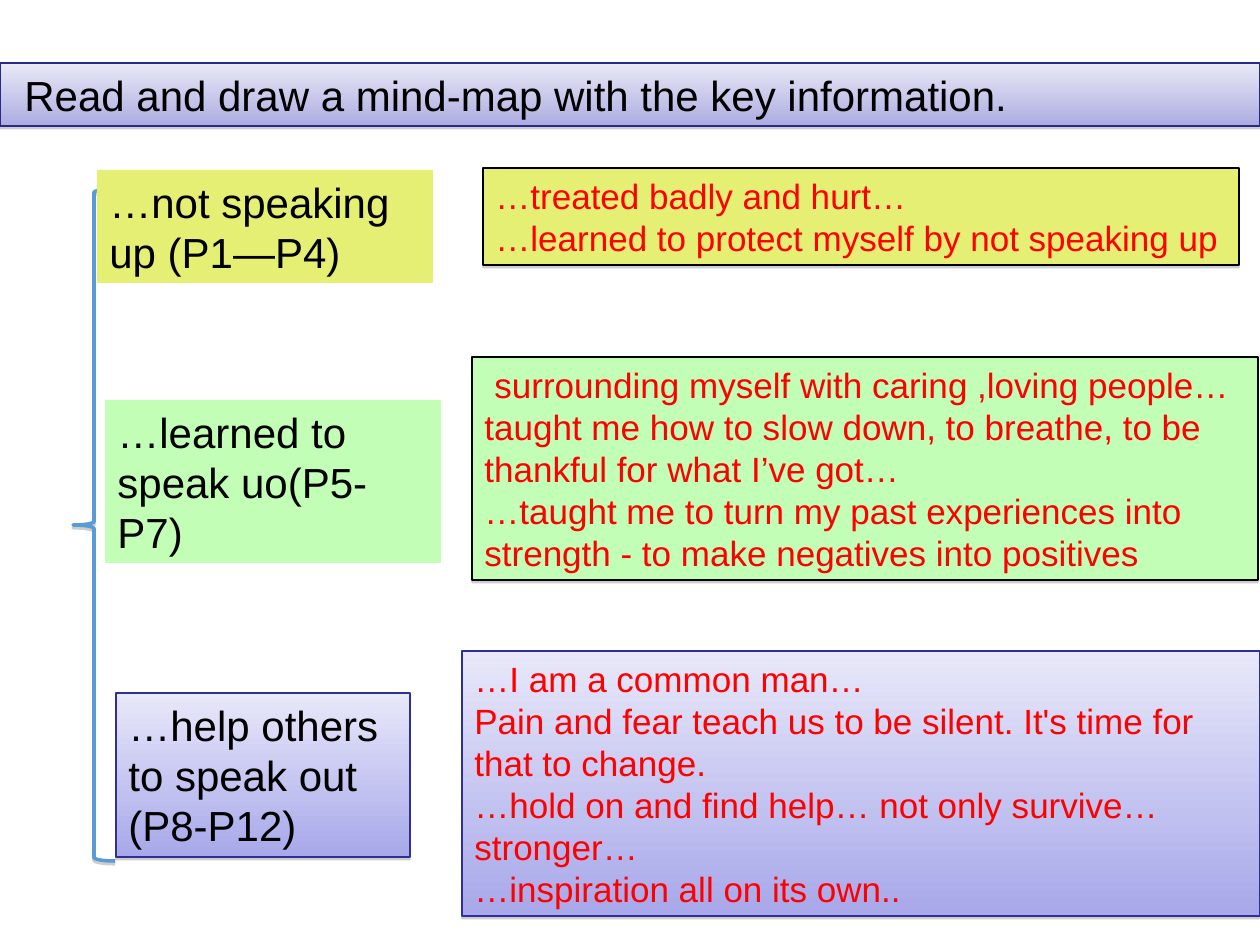
from lxml import etree
from pptx import Presentation
from pptx import util as u
from pptx.dml.color import RGBColor
from pptx.enum import shapes, text
from pptx.oxml import ns

PX = 914400 / 126
BLACK = RGBColor(0x00, 0x00, 0x00)
RED = RGBColor(0xFF, 0x00, 0x00)
YELLOW = RGBColor(0xE4, 0xEF, 0x74)
GREEN = RGBColor(0xC2, 0xFE, 0xB6)
BLUE = RGBColor(0x5B, 0x9B, 0xD5)
NAVY = RGBColor(0x29, 0x29, 0x89)
INDIGO = RGBColor(0x2F, 0x2F, 0x98)
PALE = (RGBColor(0xE9, 0xE9, 0xF7), RGBColor(0xAC, 0xAC, 0xE1))
LILAC = (RGBColor(0xE8, 0xE8, 0xFA), RGBColor(0xA8, 0xA8, 0xEA))


def px(n):
    """Turn pixels into EMU."""
    return u.Emu(round(n * PX))


def add_shadow(s):
    """Give a shape a thin grey shadow just below it."""
    effects = s._element.spPr.find(ns.qn("a:effectLst"))
    shadow = etree.SubElement(effects, ns.qn("a:outerShdw"), blurRad="0",
                              dist="20000", dir="5400000", rotWithShape="0")
    color = etree.SubElement(shadow, ns.qn("a:srgbClr"), val="808080")
    etree.SubElement(color, ns.qn("a:alpha"), val="38000")


def add_preset(slide, kind, box, line, width=0.75):
    """Add a preset shape, outlined and shadowed if it has a line colour."""
    s = slide.shapes.add_shape(kind, *map(px, box))
    s.shadow.inherit = False
    if line is None:
        s.line.fill.background()
    else:
        s.line.color.rgb = line
        s.line.width = u.Pt(width)
        add_shadow(s)
    return s


def set_fill(s, fill):
    """Fill a shape with one colour or with a top-to-bottom pair."""
    if isinstance(fill, RGBColor):
        s.fill.solid()
        s.fill.fore_color.rgb = fill
        return
    s.fill.gradient()
    s.fill.gradient_angle = 270
    for stop, color in zip(s.fill.gradient_stops, fill):
        stop.color.rgb = color


def add_box(slide, box, lines, fill, line=None, size=24, color=BLACK, indent=0):
    """Add a filled rectangle of left-aligned paragraphs."""
    s = add_preset(slide, shapes.MSO_SHAPE.RECTANGLE, box, line)
    set_fill(s, fill)
    tf = s.text_frame
    tf.word_wrap = True
    tf.vertical_anchor = text.MSO_ANCHOR.TOP
    tf.text = "\n".join(lines)
    for p in tf.paragraphs:
        p.alignment = text.PP_ALIGN.LEFT
        p.font.name = "Arial"
        p.font.size = u.Pt(size)
        p.font.color.rgb = color
    if indent:
        tf.paragraphs[0]._p.get_or_add_pPr().set("indent", str(px(indent)))


def add_details(slide, box, lines, fill, line, indent=0):
    """Add a box of red key information."""
    add_box(slide, box, lines, fill, line, 20, RED, indent)


def add_brace(slide, box):
    """Add the open brace that joins the stages."""
    s = add_preset(slide, shapes.MSO_SHAPE.LEFT_BRACE, box, BLUE, 2)
    s.fill.background()


def main():
    """Build the mind-map slide."""
    prs = Presentation()
    prs.slide_width, prs.slide_height = px(1260), px(945)
    slide = prs.slides.add_slide(prs.slide_layouts[6])

    add_box(slide, (0, 63, 1260, 63),
            ["Read and draw a mind-map with the key information."],
            PALE, NAVY, indent=12)
    add_brace(slide, (73, 189, 42, 672))

    add_box(slide, (97, 170, 336, 113), ["…not speaking up (P1—P4)"], YELLOW)
    add_box(slide, (105, 400, 336, 163), ["…learned to speak uo(P5-P7)"], GREEN)
    add_details(slide, (483, 168, 756, 97), [
        "…treated badly and hurt…",
        "…learned to protect myself by not speaking up",
    ], YELLOW, BLACK)
    add_details(slide, (462, 651, 798, 265), [
        "…I am a common man…",
        "Pain and fear teach us to be silent. It's time for that to change.",
        "…hold on and find help… not only survive…stronger…",
        "…inspiration all on its own..",
    ], LILAC, INDIGO)
    add_box(slide, (116, 693, 294, 164),
            ["…help others to speak out (P8-P12)"], LILAC, INDIGO)
    add_details(slide, (472, 357, 786, 223), [
        "surrounding myself with caring ,loving people…",
        "taught me how to slow down, to breathe, to be thankful for what I’ve got…",
        "…taught me to turn my past experiences into strength"
        " - to make negatives into positives",
    ], GREEN, BLACK, indent=10)

    prs.save("out.pptx")


if __name__ == "__main__":
    main()
